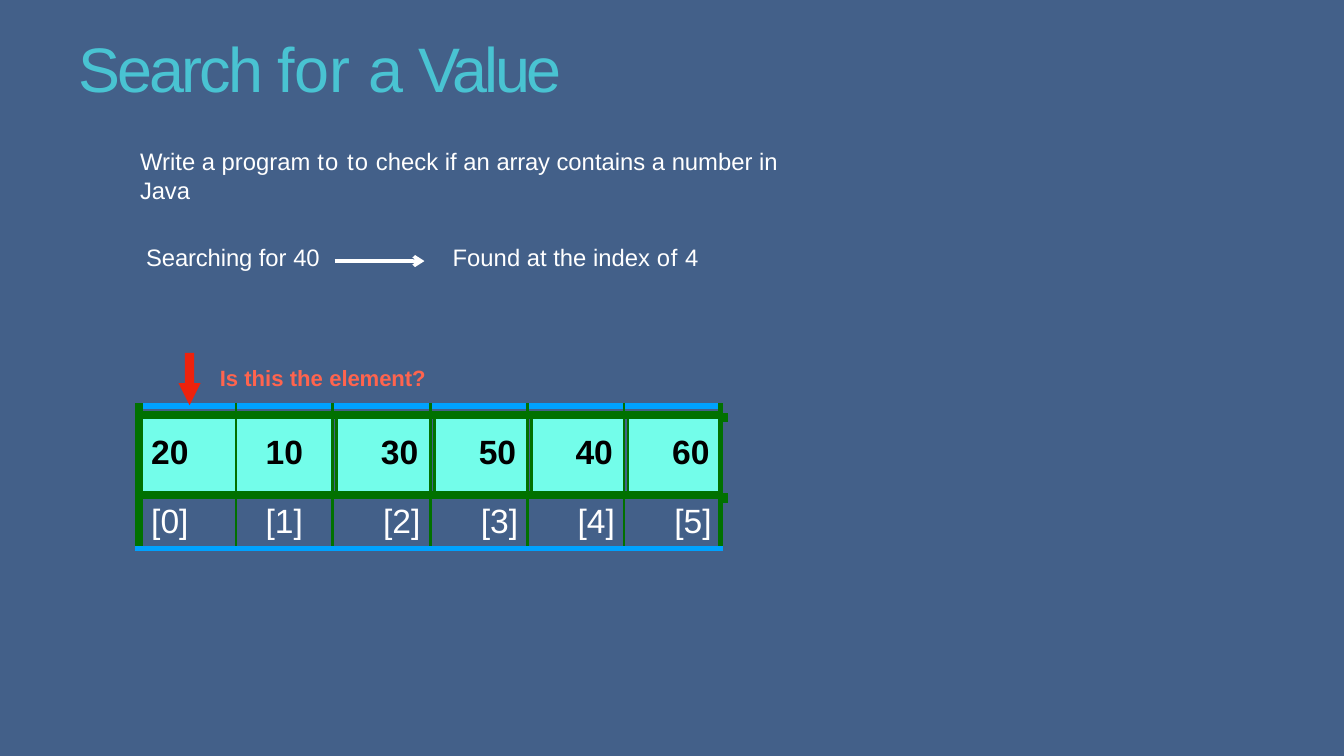
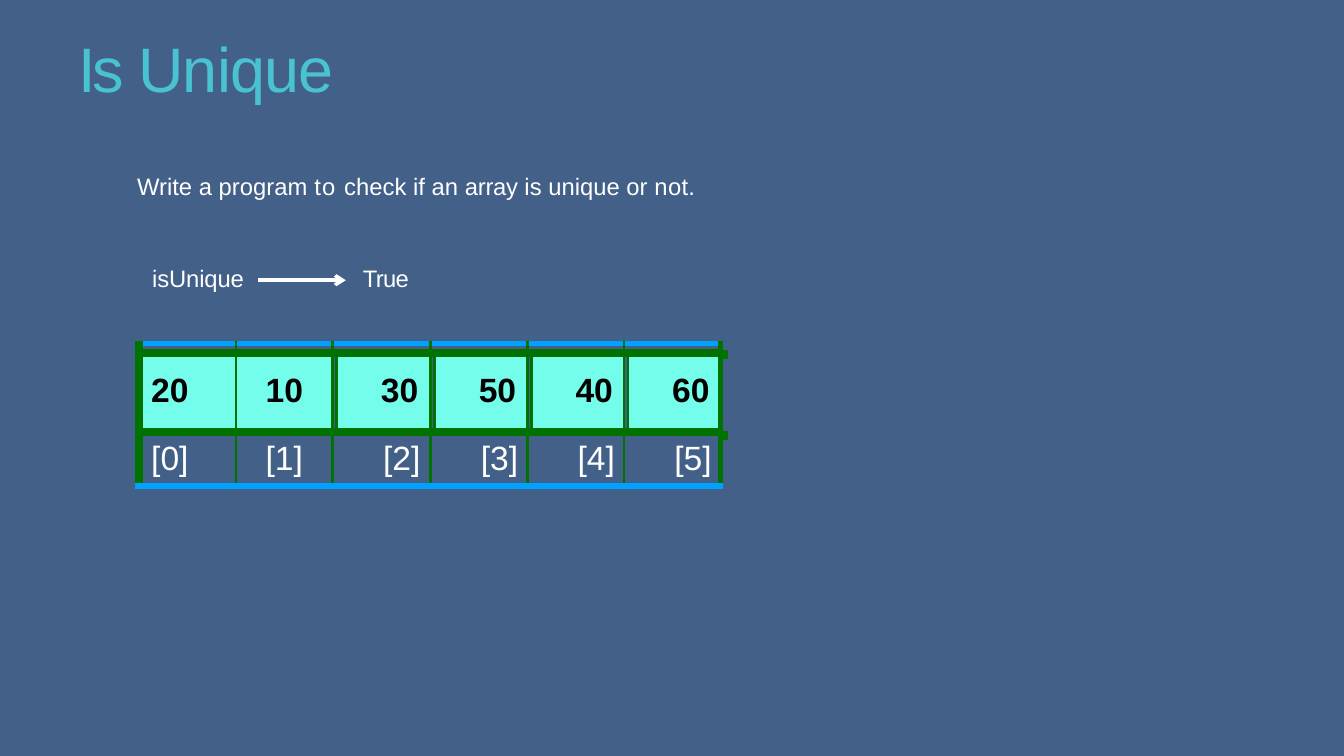
import pptx
import pptx.util
import pptx.dml.color
import pptx.enum.shapes
import pptx.enum.text
import pptx.oxml
import pptx.oxml.ns
import lxml.etree

Inches = pptx.util.Inches
Pt = pptx.util.Pt
qn = pptx.oxml.ns.qn
rgb = pptx.dml.color.RGBColor.from_string

FONT = "Arial"
COLORS = {
    "background": "436089",
    "title": "49C3D2",
    "text": "FFFFFF",
    "value": "000000",
    "cell": "73FDEA",
    "grid": "017100",
    "edge": "00A2FF",
    "pointer": "EE220C",
    "question": "FF644E",
}
NO_GRID_STYLE = "{2D5ABB26-0587-4C30-8999-92F81FD0307C}"
VALUES = ["20", "10", "30", "50", "40", "60"]
COLUMN_WIDTHS = [0.96, 0.96, 0.03, 0.93] + [0.04, 0.92] * 3
ROW_HEIGHTS = [0.09, 0.79, 0.53]
LAST_ROW, LAST_COLUMN = len(ROW_HEIGHTS) - 1, len(COLUMN_WIDTHS) - 1

SLIDES = [
    {
        "title": [("Search ", -2.1), ("for ", 0), ("a ", -1.8), ("Value", -2.2)],
        "task": (1.39, 1.45, 6.7, [("Write a program ", 0), ("to to", 0.8), (" check if an ", 0),
                                   ("array", -0.2), (" contains a number in ", 0), ("Java", -0.1)]),
        "call": (1.45, 2.4, 1.85, [("Searching ", -0.1), ("for ", 0), ("40", -0.1)]),
        "result": (4.49, 2.4, 2.6, [("Found at the index ", 0), ("of ", 0.4), ("4", -0.3)]),
        "arrow": (3.32, 4.21, 2.59),
        "array_top": 4.03,
        "question": [("Is this the ", 0), ("element?", -0.1)],
    },
    {
        "title": [("Is ", -2.4), ("Unique", -0.5)],
        "task": (1.36, 1.69, 5.8, [("Write a program ", 0), ("to ", 0.8), ("check if an ", 0),
                                   ("array ", -0.2), ("is unique or ", 0), ("not.", 0.2)]),
        "call": (1.51, 2.61, 1.05, [("isUnique", -0.1)]),
        "result": (3.6, 2.61, 0.7, [("True", -0.5)]),
        "arrow": (2.56, 3.43, 2.78),
        "array_top": 3.41,
        "question": None,
    },
]


def add_text(slide, left, top, width, pieces, size=17, color="text", bold=False):
    box = slide.shapes.add_textbox(Inches(left), Inches(top), Inches(width), Inches(size / 60))
    frame = box.text_frame
    frame.word_wrap = True
    frame.margin_left = frame.margin_right = frame.margin_bottom = 0
    frame.margin_top = Inches(0.01)
    paragraph = frame.paragraphs[0]
    paragraph.font.name = FONT
    paragraph.font.size = Pt(size)
    paragraph.font.bold = bold
    paragraph.font.color.rgb = rgb(COLORS[color])
    for words, spacing in pieces:
        run = paragraph.add_run()
        run.text = words
        if spacing:
            run._r.get_or_add_rPr().set("spc", str(round(spacing * 100)))


def add_line(slide, left, right, y, color, width):
    line = slide.shapes.add_connector(
        pptx.enum.shapes.MSO_CONNECTOR.STRAIGHT, Inches(left), Inches(y), Inches(right), Inches(y))
    line.line.color.rgb = rgb(COLORS[color])
    line.line.width = Pt(width)
    lxml.etree.SubElement(line._element.spPr, qn("a:effectLst"))
    return line


prs = pptx.Presentation()
prs.slide_width = Inches(13.33)
prs.slide_height = Inches(7.5)
master_fill = prs.slide_master.background.fill
master_fill.solid()
master_fill.fore_color.rgb = rgb(COLORS["background"])

for content in SLIDES:
    slide = prs.slides.add_slide(prs.slide_layouts[6])
    array_top = content["array_top"]

    for offset in (0.11, 0.91):
        add_line(slide, 1.38, 7.22, array_top + offset, "grid", 6.6)

    array = slide.shapes.add_table(
        len(ROW_HEIGHTS), len(COLUMN_WIDTHS), Inches(1.38), Inches(array_top),
        Inches(sum(COLUMN_WIDTHS)), Inches(sum(ROW_HEIGHTS))).table
    array.first_row = array.horz_banding = False
    array._tbl.tblPr.find(qn("a:tableStyleId")).text = NO_GRID_STYLE
    for column, width in zip(array.columns, COLUMN_WIDTHS):
        column.width = Inches(width)
    for row, height in zip(array.rows, ROW_HEIGHTS):
        row.height = Inches(height)
    for row in (0, LAST_ROW):
        for column in range(2, LAST_COLUMN, 2):
            array.cell(row, column).merge(array.cell(row, column + 1))

    for row in range(len(ROW_HEIGHTS)):
        for column in range(len(COLUMN_WIDTHS)):
            cell = array.cell(row, column)
            cell.margin_left = cell.margin_right = cell.margin_top = cell.margin_bottom = 0
            paragraph = cell.text_frame.paragraphs[0]
            is_gap = column > 1 and column % 2 == 0
            has_value = row == 1 and not is_gap
            has_index = row == LAST_ROW and not cell.is_spanned
            if has_value or has_index:
                position = column if column < 2 else column // 2 + 1
                paragraph.text = VALUES[position] if has_value else f"[{position}]"
                paragraph.font.name = FONT
                paragraph.font.size = Pt(24)
                paragraph.font.bold = has_value
                paragraph.font.color.rgb = rgb(COLORS["value" if has_value else "text"])
                cell.margin_top = Inches(0.19 if has_value else 0.08)
                if position == 1:
                    paragraph.alignment = pptx.enum.text.PP_ALIGN.CENTER
                elif position == 0:
                    cell.margin_left = Inches(0.12)
                else:
                    cell.margin_left = Inches(0.44 if has_value else 0.5)
            else:
                lxml.etree.SubElement(paragraph._p, qn("a:endParaRPr"), sz="100")
            if cell.is_spanned:
                continue
            cell.fill.solid()
            cell.fill.fore_color.rgb = rgb(COLORS["cell" if has_value else "background"])
            reaches_end = column + cell.span_width > LAST_COLUMN if cell.is_merge_origin else column == LAST_COLUMN
            borders = [
                ("L", "grid", 6.6 if column == 0 else 2.25),
                ("R", "grid", 4.5 if reaches_end else 2.25),
                ("T", "edge", 4.5) if row == 0 else ("T", "grid", 6.6),
                ("B", "edge", 4.5) if row == LAST_ROW else ("B", "grid", 6.6),
            ]
            properties = cell._tc.get_or_add_tcPr()
            for order, (side, color, width) in enumerate(borders):
                border = lxml.etree.Element(qn(f"a:ln{side}"), w=str(Pt(width)))
                fill = lxml.etree.SubElement(border, qn("a:solidFill"))
                lxml.etree.SubElement(fill, qn("a:srgbClr"), val=COLORS[color])
                properties.insert(order, border)

    add_text(slide, 0.78, 0.28, 7.1, content["title"], 44.9, "title")
    for part in ("task", "call", "result"):
        add_text(slide, *content[part])

    result_arrow = add_line(slide, *content["arrow"], "text", 2.47)
    lxml.etree.SubElement(result_arrow.line._get_or_add_ln(), qn("a:tailEnd"), type="arrow")

    if content["question"]:
        pointer = slide.shapes.add_shape(
            pptx.enum.shapes.MSO_SHAPE.DOWN_ARROW, Inches(1.77), Inches(3.5), Inches(0.22), Inches(0.52))
        pointer.adjustments[0] = 0.42
        pointer.adjustments[1] = 1
        pointer.shadow.inherit = False
        pointer.fill.solid()
        pointer.fill.fore_color.rgb = rgb(COLORS["pointer"])
        pointer.line.fill.background()
        add_text(slide, 2.18, 3.61, 2.2, content["question"], 15.8, "question", True)

prs.save("out.pptx")
